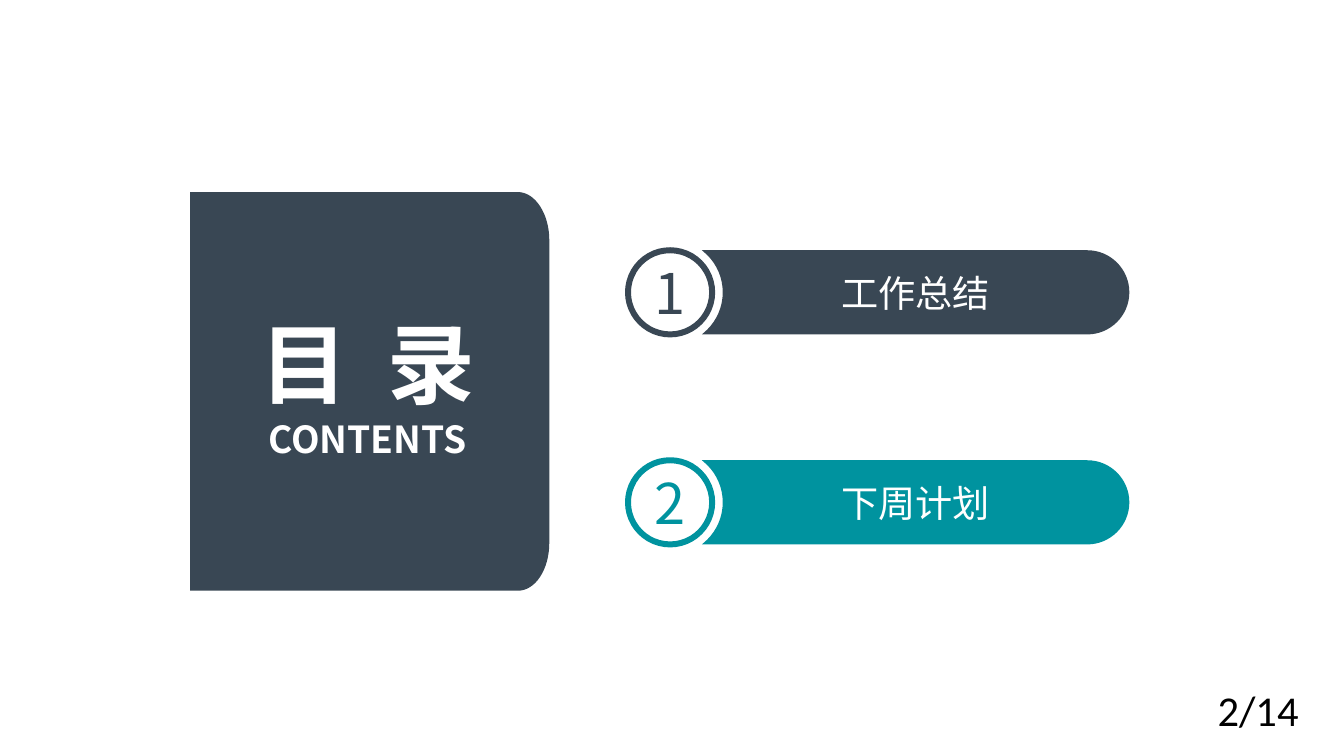
from pptx import Presentation
from pptx.dml.color import RGBColor
from pptx.enum.shapes import MSO_SHAPE
from pptx.enum.text import MSO_ANCHOR, PP_ALIGN
from pptx.oxml.ns import qn
from pptx.util import Pt

NAVY, TEAL, WHITE, BLACK = "394754", "00939F", "FFFFFF", "000000"
CJK = "Noto Sans CJK SC"


def write(shape, text, size, color, font=CJK, bold=False, align=PP_ALIGN.CENTER,
          anchor=MSO_ANCHOR.MIDDLE, inset=(0, 0), spacing=0):
    frame = shape.text_frame
    frame.word_wrap = True
    frame.vertical_anchor = anchor
    frame.margin_left = frame.margin_right = Pt(inset[0])
    frame.margin_top = frame.margin_bottom = Pt(inset[1])
    paragraph = frame.paragraphs[0]
    paragraph.alignment = align
    run = paragraph.add_run()
    run.text = text
    run.font.name, run.font.size, run.font.bold = font, Pt(size), bold
    run.font.color.rgb = RGBColor.from_string(color)
    properties = run.font._element
    if spacing:
        properties.set("spc", str(round(spacing * 100)))
    properties.find(qn("a:latin")).addnext(properties.makeelement(qn("a:ea"), {"typeface": font}))


def draw_outline(start, segments, color):
    """Filled outline; a segment of one point is a line, of three points a cubic curve."""
    points = [point for segment in segments for point in segment]
    builder = slide.shapes.build_freeform(Pt(start[0]), Pt(start[1]))
    builder.add_line_segments([(Pt(x), Pt(y)) for x, y in points], close=True)
    shape = builder.convert_to_shape()
    lines = iter(list(shape._element.iter(qn("a:lnTo"))))
    for segment in segments:
        first, *others = [next(lines) for _ in segment]
        if others:
            first.tag = qn("a:cubicBezTo")
        for other in others:
            first.append(other[0])
            other.getparent().remove(other)
    shape.shadow.inherit = False
    shape.fill.solid()
    shape.fill.fore_color.rgb = RGBColor.from_string(color)
    shape.line.fill.background()
    return shape


presentation = Presentation()
presentation.slide_width, presentation.slide_height = Pt(1012.5), Pt(569.5)
slide = presentation.slides.add_slide(presentation.slide_layouts[6])

# Title panel with rounded right corners
draw_outline((143.3, 144.7), [
    [(390.2, 144.7)],
    [(403.2, 144.7), (413.8, 161.3), (413.8, 180.7)],
    [(413.8, 409)],
    [(413.8, 429.2), (403.2, 445), (390.2, 445)],
    [(143.3, 445)],
], NAVY)

# Agenda bars, each with a notch around its number circle
radius, circle_x = 31.7, 504.8
bar_left, bar_right = 528.8, 850.8
end_x, bend = bar_right - radius, 17.5
agenda = [("1", "工作总结", NAVY, 220.2), ("2", "下周计划", TEAL, 378.4)]
for number, label, color, middle in agenda:
    top, bottom = middle - radius, middle + radius
    bar = draw_outline((bar_left, top), [
        [(end_x, top)],
        [(end_x + bend, top), (bar_right, middle - bend), (bar_right, middle)],
        [(bar_right, middle + bend), (end_x + bend, bottom), (end_x, bottom)],
        [(bar_left, bottom)],
        [(532.8, middle + 28.1)],
        [(540, middle + 20.9), (544.5, middle + 11), (544.5, middle)],
        [(544.5, middle - 11), (540, middle - 20.9), (532.8, middle - 28.1)],
    ], color)
    write(bar, label, 28, WHITE)

    circle = slide.shapes.add_shape(MSO_SHAPE.OVAL, Pt(circle_x - radius), Pt(top),
                                    Pt(2 * radius), Pt(2 * radius))
    circle.shadow.inherit = False
    circle.fill.solid()
    circle.fill.fore_color.rgb = RGBColor.from_string(WHITE)
    circle.line.color.rgb = RGBColor.from_string(color)
    circle.line.width = Pt(4.5)
    write(circle, number, 42.2, color)

title = slide.shapes.add_textbox(Pt(164.1), Pt(233.3), Pt(226), Pt(80))
write(title, "目 录", 66, WHITE, bold=True, spacing=7.2)
subtitle = slide.shapes.add_textbox(Pt(164.9), Pt(313.5), Pt(224), Pt(34))
write(subtitle, "CONTENTS", 28, WHITE, bold=True, anchor=MSO_ANCHOR.TOP)
page_number = slide.shapes.add_textbox(Pt(910.2), Pt(511.5), Pt(102), Pt(44))
write(page_number, "2/14", 32, BLACK, font="Calibri", align=PP_ALIGN.LEFT,
      anchor=MSO_ANCHOR.TOP, inset=(7.2, 3.6))

presentation.save("out.pptx")
